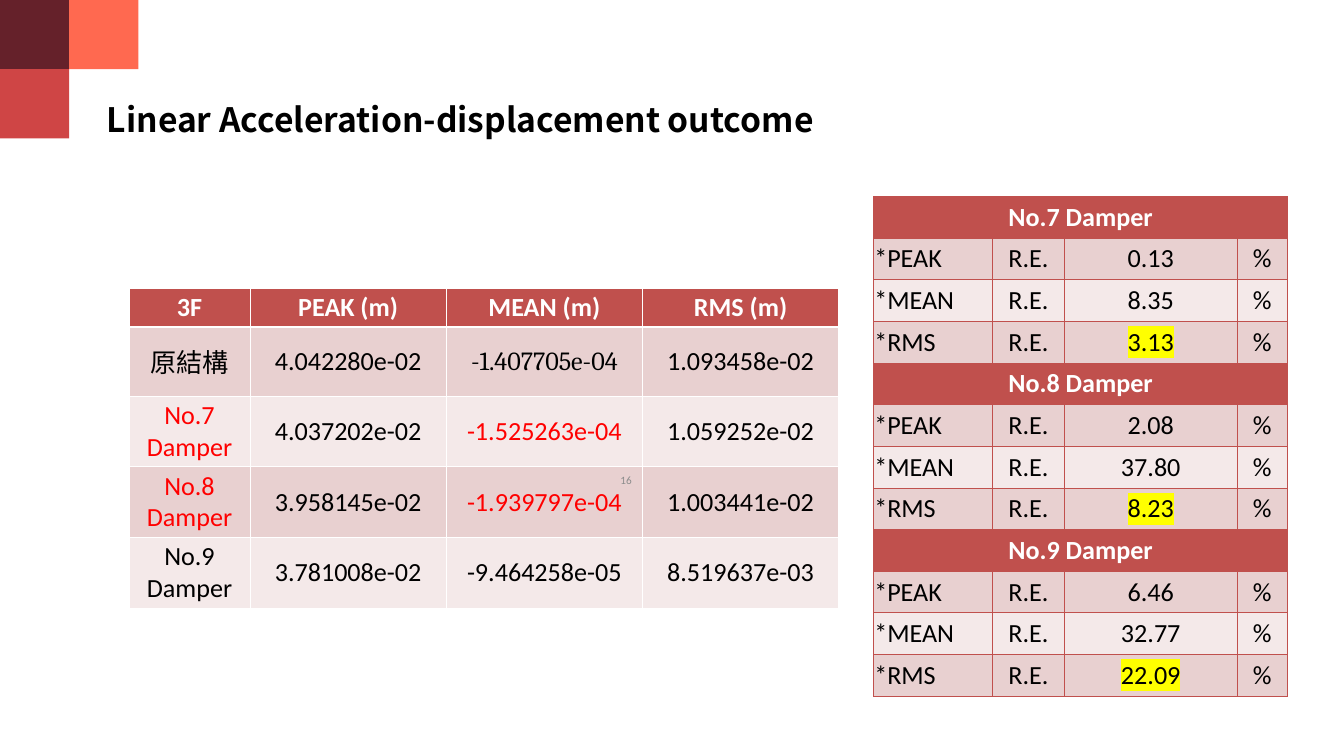
"""Builds the slide of linear acceleration-displacement results."""
from dataclasses import dataclass

from lxml.etree import SubElement
from pptx import Presentation
from pptx.dml.color import RGBColor
from pptx.enum.shapes import MSO_SHAPE
from pptx.enum.text import MSO_ANCHOR, PP_ALIGN
from pptx.oxml import parse_xml
from pptx.oxml.ns import nsdecls, qn
from pptx.slide import Slide
from pptx.util import Inches, Pt

BLACK = RGBColor(0x00, 0x00, 0x00)
WHITE = RGBColor(0xFF, 0xFF, 0xFF)
GRAY = RGBColor(0x8C, 0x8C, 0x8C)
RED = RGBColor(0xFF, 0x00, 0x00)
YELLOW = RGBColor(0xFF, 0xFF, 0x00)
BRICK = RGBColor(0xC0, 0x50, 0x4D)
ROSE = RGBColor(0xE8, 0xD0, 0xD0)
BLUSH = RGBColor(0xF4, 0xE9, 0xE9)
MAROON = RGBColor(0x65, 0x21, 0x2A)
CRIMSON = RGBColor(0xCF, 0x45, 0x45)
CORAL = RGBColor(0xFF, 0x69, 0x50)
CJK = "Noto Sans CJK SC"

SQUARE = 1.03
SQUARES = [(0, 0, MAROON), (0, 1, CRIMSON), (1, 0, CORAL)]

OUTCOME_HEADER = ["3F", "PEAK (m)", "MEAN (m)", "RMS (m)"]
OUTCOMES = [
    ["原結構", "4.042280e-02", "-1.407705e-04", "1.093458e-02"],
    ["No.7 Damper", "4.037202e-02", "-1.525263e-04", "1.059252e-02"],
    ["No.8 Damper", "3.958145e-02", "-1.939797e-04", "1.003441e-02"],
    ["No.9 Damper", "3.781008e-02", "-9.464258e-05", "8.519637e-03"],
]
RED_OUTCOMES = {"No.7 Damper", "No.8 Damper", "-1.525263e-04", "-1.939797e-04"}
OUTCOME_FONTS = {"原結構": CJK, "-1.407705e-04": "Cambria"}

MEASURES = ["*PEAK", "*MEAN", "*RMS"]
RELATIVE_ERRORS = {
    "No.7 Damper": ["0.13", "8.35", "3.13"],
    "No.8 Damper": ["2.08", "37.80", "8.23"],
    "No.9 Damper": ["6.46", "32.77", "22.09"],
}


@dataclass
class SlideBuilder:
    """Holds the text style and the current slide."""

    slide: Slide
    font: str = "Calibri"
    size: int = 28

    def add_text(self, frame, text, color=BLACK, bold=False, align=PP_ALIGN.CENTER,
                 font=None, size=None, highlight=None):
        """Put one styled run into the first paragraph of a frame."""
        paragraph = frame.paragraphs[0]
        paragraph.alignment = align
        run = paragraph.add_run()
        run.text = text
        run.font.size = Pt(size or self.size)
        run.font.bold = bold
        run.font.color.rgb = color
        run.font.name = font or self.font
        properties = run._r.get_or_add_rPr()
        SubElement(properties, qn("a:ea"), typeface=font or self.font)
        if highlight is not None:
            properties.find(qn("a:solidFill")).addnext(parse_xml(
                f'<a:highlight {nsdecls("a")}><a:srgbClr val="{highlight}"/></a:highlight>'))

    def title(self, text, left, top, width, height):
        """Place and fill the title placeholder."""
        title = self.slide.shapes.title
        title.left, title.top = Inches(left), Inches(top)
        title.width, title.height = Inches(width), Inches(height)
        frame = title.text_frame
        frame.margin_left = frame.margin_right = frame.margin_top = frame.margin_bottom = 0
        frame.vertical_anchor = MSO_ANCHOR.MIDDLE
        self.add_text(frame, text, bold=True, align=PP_ALIGN.LEFT, font=CJK, size=36)

    def square(self, column, row, color):
        """Draw one corner square on the square grid."""
        square = self.slide.shapes.add_shape(
            MSO_SHAPE.RECTANGLE, Inches(column * SQUARE), Inches(row * SQUARE),
            Inches(SQUARE), Inches(SQUARE))
        square.shadow.inherit = False
        square.fill.solid()
        square.fill.fore_color.rgb = color
        square.line.fill.background()

    def table(self, left, top, widths, heights):
        """Add an unbanded table with the given column widths and row heights."""
        table = self.slide.shapes.add_table(
            len(heights), len(widths), Inches(left), Inches(top),
            Inches(sum(widths)), Inches(sum(heights))).table
        table.first_row = table.horz_banding = False
        for column, width in zip(table.columns, widths):
            column.width = Inches(width)
        for row, height in zip(table.rows, heights):
            row.height = Inches(height)
        return table

    def cell(self, cell, fill, border, top=1, bottom=1, side=1):
        """Fill a cell, centre it vertically and draw its four borders."""
        cell.vertical_anchor = MSO_ANCHOR.MIDDLE
        cell.fill.solid()
        cell.fill.fore_color.rgb = fill
        edges = [("L", side), ("R", side), ("T", top), ("B", bottom)]
        for position, (edge, points) in enumerate(edges):
            cell._tc.tcPr.insert(position, parse_xml(
                f'<a:ln{edge} {nsdecls("a")} w="{Pt(points)}"><a:solidFill>'
                f'<a:srgbClr val="{border}"/></a:solidFill></a:ln{edge}>'))

    def error_cell(self, cell, fill):
        """Format a tight cell of the relative error table."""
        self.cell(cell, fill, BRICK, 0.5, 0.5, 0.5)
        cell.margin_left = cell.margin_right = cell.margin_top = Inches(0.01)
        cell.margin_bottom = 0

    def error_table(self, left, top):
        """Add the relative errors, one block per damper."""
        block = len(MEASURES) + 1
        table = self.table(left, top, [1.77, 1.07, 2.57, 0.75],
                           [0.62] * (block * len(RELATIVE_ERRORS)))
        for index, (damper, errors) in enumerate(RELATIVE_ERRORS.items()):
            first = index * block
            for column in range(4):
                self.error_cell(table.cell(first, column), BRICK)
            heading = table.cell(first, 0)
            heading.merge(table.cell(first, 3))
            self.add_text(heading.text_frame, damper, WHITE, bold=True)
            for offset, (measure, error) in enumerate(zip(MEASURES, errors)):
                for column, text in enumerate([measure, "R.E.", error, "%"]):
                    cell = table.cell(first + 1 + offset, column)
                    self.error_cell(cell, BLUSH if offset % 2 else ROSE)
                    marked = measure == "*RMS" and column == 2
                    self.add_text(cell.text_frame, text,
                                  align=PP_ALIGN.CENTER if column else PP_ALIGN.LEFT,
                                  highlight=YELLOW if marked else None)

    def outcome_table(self, left, top):
        """Add the peak, mean and RMS displacements."""
        table = self.table(left, top, [1.8] + [2.92] * 3, [0.57] + [1.03] * len(OUTCOMES))
        for column, text in enumerate(OUTCOME_HEADER):
            cell = table.cell(0, column)
            self.cell(cell, BRICK, WHITE, bottom=3)
            self.add_text(cell.text_frame, text, WHITE, bold=True)
        for row, outcomes in enumerate(OUTCOMES, start=1):
            for column, text in enumerate(outcomes):
                cell = table.cell(row, column)
                self.cell(cell, ROSE if row % 2 else BLUSH, WHITE, top=3 if row == 1 else 1)
                self.add_text(cell.text_frame, text, RED if text in RED_OUTCOMES else BLACK,
                              font=OUTCOME_FONTS.get(text))

    def page_number(self, text, left, top, width, height):
        """Add the right-aligned page number."""
        frame = self.slide.shapes.add_textbox(
            Inches(left), Inches(top), Inches(width), Inches(height)).text_frame
        frame.word_wrap = True
        frame.vertical_anchor = MSO_ANCHOR.MIDDLE
        self.add_text(frame, text, GRAY, align=PP_ALIGN.RIGHT, size=12)


def main():
    """Build and save the presentation."""
    presentation = Presentation()
    presentation.slide_width, presentation.slide_height = Inches(20), Inches(11.25)
    builder = SlideBuilder(presentation.slides.add_slide(presentation.slide_layouts[5]))
    builder.title("Linear Acceleration-displacement outcome", 1.59, 1.47, 10.85, 0.61)
    for column, row, color in SQUARES:
        builder.square(column, row, color)
    builder.error_table(13, 2.92)
    builder.outcome_table(1.92, 4.29)
    builder.page_number("16", 7.17, 6.95, 2.33, 0.4)
    presentation.save("out.pptx")


if __name__ == "__main__":
    main()
